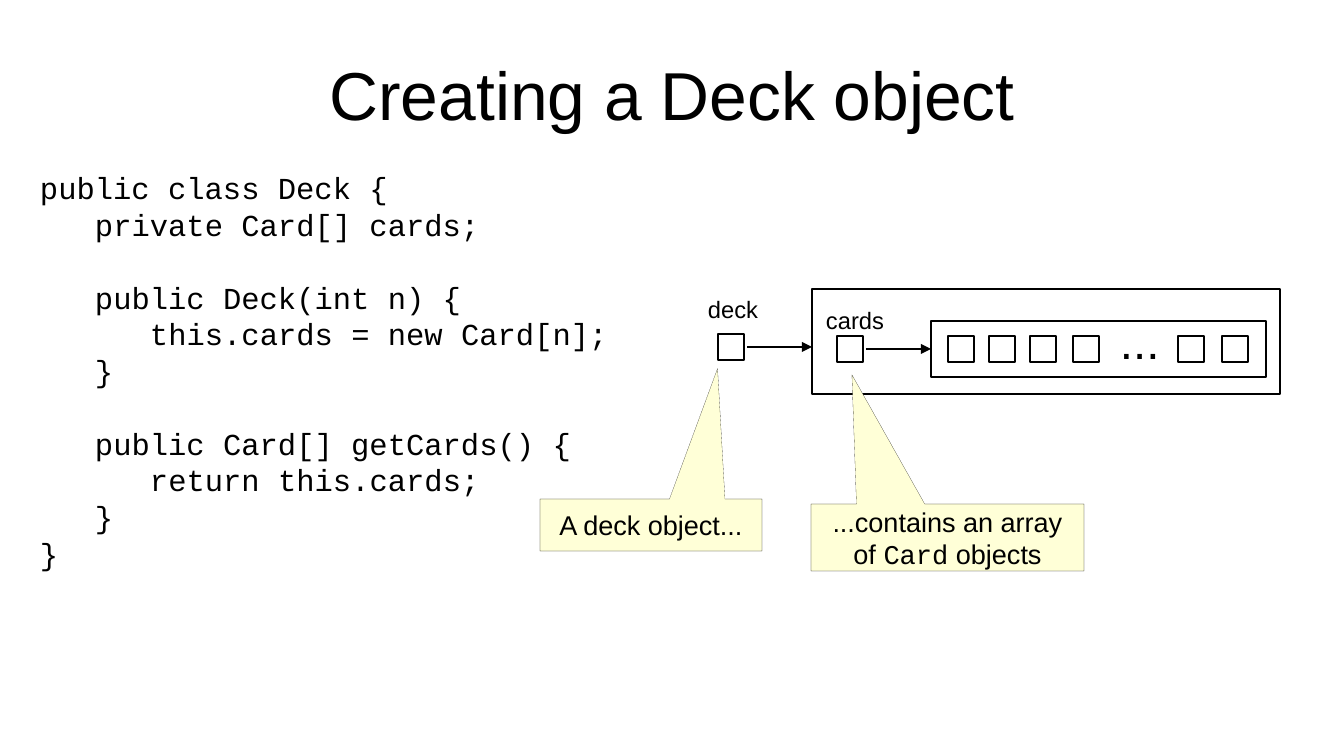
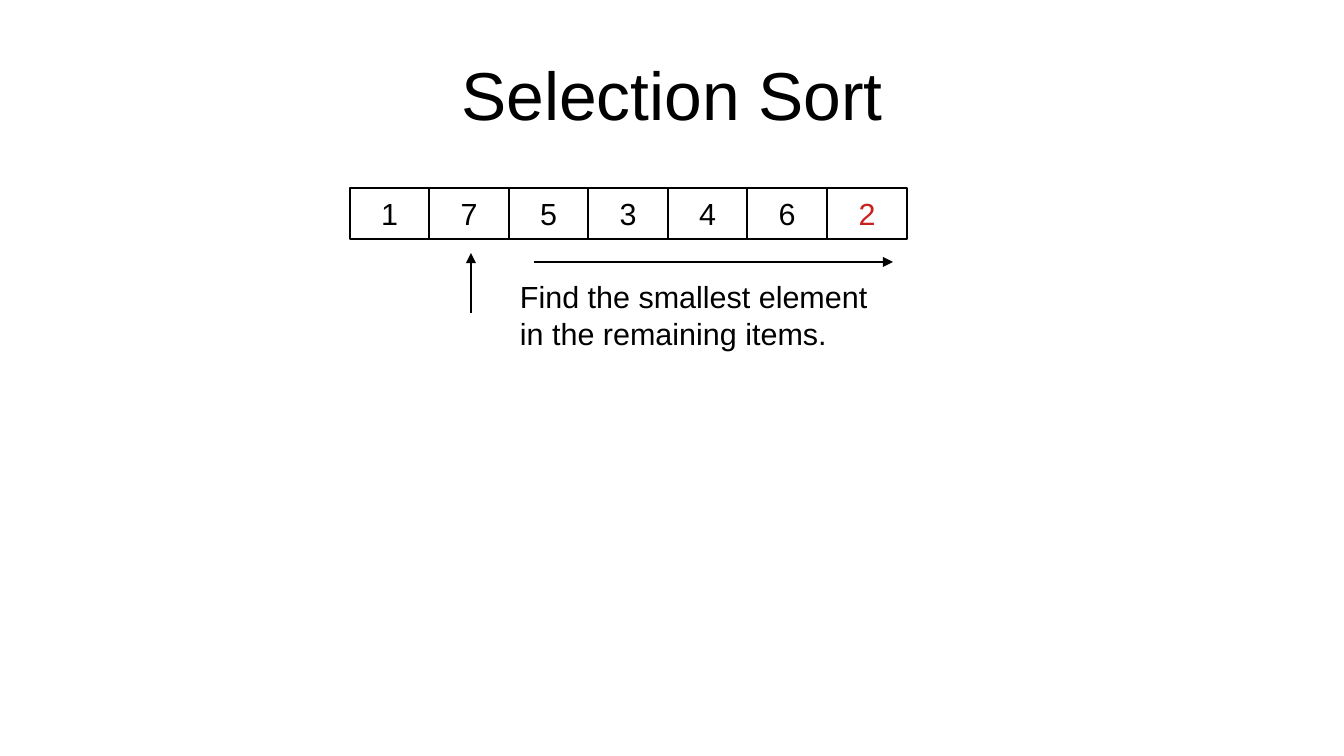
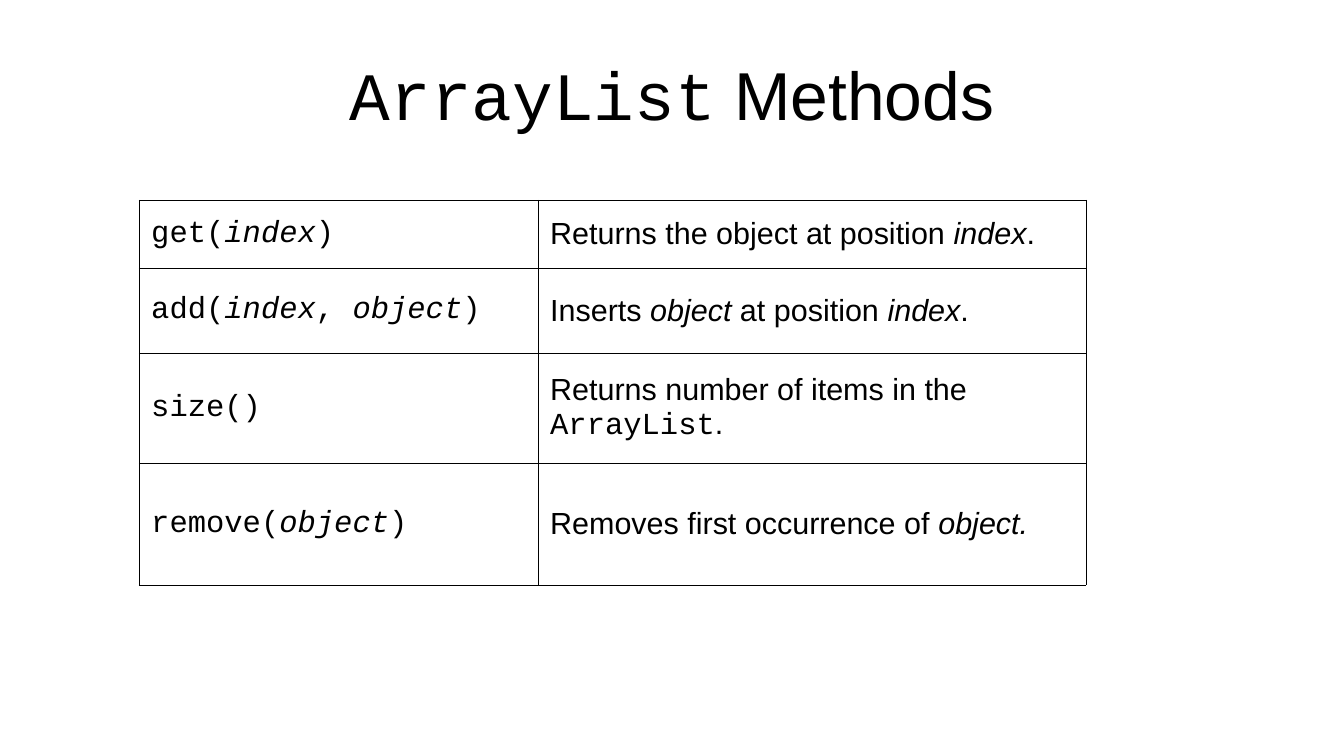
from collections import namedtuple

from lxml import etree
from pptx import Presentation
from pptx.dml.color import RGBColor
from pptx.enum.shapes import MSO_CONNECTOR, MSO_SHAPE
from pptx.enum.text import MSO_ANCHOR, MSO_AUTO_SIZE, PP_ALIGN
from pptx.oxml.ns import qn
from pptx.util import Emu, Pt

PX = 7495
TITLE_ONLY = 5
LEFT_SIDE = 1
RECTANGLE = MSO_SHAPE.RECTANGLE
CALLOUT = MSO_SHAPE.RECTANGULAR_CALLOUT
STRAIGHT = MSO_CONNECTOR.STRAIGHT
MIDDLE = MSO_ANCHOR.MIDDLE
CENTER = PP_ALIGN.CENTER
LEFT = PP_ALIGN.LEFT
FIXED = MSO_AUTO_SIZE.NONE

BLACK = RGBColor(0x00, 0x00, 0x00)
WHITE = RGBColor(0xFF, 0xFF, 0xFF)
RED = RGBColor(0xC9, 0x21, 0x1E)
CREAM = RGBColor(0xFF, 0xFF, 0xD7)

SANS = "Arial"
MONO = "Courier New"
TITLE_SIZE = 40
ELLIPSIS_SIZE = 28
BODY_SIZE = 18
CALLOUT_SIZE = 16
LABEL_SIZE = 14
THIN = Pt(1)
HAIRLINE = Pt(0.06)
CODE_INDENT = 55
CODE_GAP = Pt(21.5)
BOX = 26

Span = namedtuple("Span", "text font italic", defaults=(SANS, False))


def px(value):
    return Emu(value * PX)


def place(*values):
    return [px(value) for value in values]


def mono(text, italic=False):
    return Span(text, MONO, italic)


def italic(text):
    return Span(text, SANS, True)


def add_runs(paragraph, spans, size, color=BLACK, align=LEFT):
    paragraph.alignment = align
    for span in spans:
        run = paragraph.add_run()
        run.text = span.text
        run.font.name = span.font
        run.font.size = Pt(size)
        run.font.italic = span.italic
        run.font.color.rgb = color


def fill_frame(frame, lines, size, color=BLACK, align=LEFT):
    for index, spans in enumerate(lines):
        paragraph = frame.add_paragraph() if index else frame.paragraphs[0]
        add_runs(paragraph, spans, size, color, align)


def add_titled_slide(presentation, spans):
    slide = presentation.slides.add_slide(presentation.slide_layouts[TITLE_ONLY])
    title = slide.shapes.title
    title.left, title.top, title.width, title.height = place(67, 30, 1210, 127)
    frame = title.text_frame
    frame.margin_left = frame.margin_right = 0
    frame.margin_top = frame.margin_bottom = 0
    frame.vertical_anchor = MIDDLE
    frame.auto_size = FIXED
    fill_frame(frame, [spans], TITLE_SIZE, align=CENTER)
    return slide


def add_text(slide, left, top, width, height, lines, size):
    shape = slide.shapes.add_textbox(*place(left, top, width, height))
    frame = shape.text_frame
    frame.word_wrap = True
    frame.auto_size = FIXED
    fill_frame(frame, lines, size)
    return frame


def add_code(slide, left, top, width, height, lines):
    spans = [[mono(text)] for _, text, _ in lines]
    frame = add_text(slide, left, top, width, height, spans, BODY_SIZE)
    for paragraph, (level, _, gap_before) in zip(frame.paragraphs, lines):
        properties = paragraph._p.get_or_add_pPr()
        properties.set("marL", str(px(level * CODE_INDENT)))
        properties.set("indent", "0")
        if gap_before:
            paragraph.space_before = CODE_GAP


def add_box(slide, left, top, width, height, fill=WHITE, kind=RECTANGLE,
            line_width=THIN):
    shape = slide.shapes.add_shape(kind, *place(left, top, width, height))
    shape.shadow.inherit = False
    if fill is None:
        shape.fill.background()
    else:
        shape.fill.solid()
        shape.fill.fore_color.rgb = fill
    shape.line.color.rgb = BLACK
    shape.line.width = line_width
    return shape


def write_in_box(shape, lines, size, color=BLACK):
    frame = shape.text_frame
    frame.word_wrap = False
    frame.vertical_anchor = MIDDLE
    fill_frame(frame, lines, size, color, CENTER)


def add_callout(slide, left, top, width, height, tip, lines):
    shape = add_box(slide, left, top, width, height, CREAM, CALLOUT, HAIRLINE)
    shape.adjustments[0], shape.adjustments[1] = tip
    write_in_box(shape, lines, CALLOUT_SIZE)


def add_arrow(slide, start_x, start_y, end_x, end_y, target=None):
    arrow = slide.shapes.add_connector(
        STRAIGHT, *place(start_x, start_y, end_x, end_y))
    arrow.line.color.rgb = BLACK
    arrow.line.width = THIN
    line = arrow.line._get_or_add_ln()
    etree.SubElement(line, qn("a:tailEnd"), type="triangle")
    etree.SubElement(arrow._element.spPr, qn("a:effectLst"))
    if target is not None:
        arrow.end_connect(target, LEFT_SIDE)


def add_cell_borders(cell):
    properties = cell._tc.get_or_add_tcPr()
    for side in ("a:lnL", "a:lnR", "a:lnT", "a:lnB"):
        line = etree.SubElement(properties, qn(side), w=str(HAIRLINE))
        fill = etree.SubElement(line, qn("a:solidFill"))
        etree.SubElement(fill, qn("a:srgbClr"), val=str(BLACK))


def add_grid(slide, left, top, widths, heights, rows):
    frame = slide.shapes.add_table(
        len(heights), len(widths),
        *place(left, top, sum(widths), sum(heights)))
    table = frame.table
    table.first_row = False
    table.horz_banding = False
    for column, width in zip(table.columns, widths):
        column.width = px(width)
    for row, height, contents in zip(table.rows, heights, rows):
        row.height = px(height)
        for cell, spans in zip(row.cells, contents):
            add_cell_borders(cell)
            cell.fill.solid()
            cell.fill.fore_color.rgb = WHITE
            cell.vertical_anchor = MIDDLE
            fill_frame(cell.text_frame, [spans], BODY_SIZE)


def build_deck_slide(presentation):
    slide = add_titled_slide(presentation, [Span("Creating a Deck object")])
    add_code(slide, 28, 163, 610, 427, [
        (0, "public class Deck {", False),
        (1, "private Card[] cards;", False),
        (1, "public Deck(int n) {", True),
        (2, "this.cards = new Card[n];", False),
        (1, "}", False),
        (1, "public Card[] getCards() {", True),
        (2, "return this.cards;", False),
        (1, "}", False),
        (0, "}", False),
    ])

    array = add_box(slide, 931, 321, 335, 56)
    for left in (948, 989, 1030, 1073, 1178, 1222):
        add_box(slide, left, 336, BOX, BOX)
    add_text(slide, 1108, 306, 80, 65, [[Span("...")]], ELLIPSIS_SIZE)

    add_box(slide, 718, 334, BOX, BOX)
    add_arrow(slide, 747, 347, 812, 347)
    add_box(slide, 812, 289, 468, 105, fill=None)
    add_text(slide, 696, 289, 100, 39, [[Span("deck")]], LABEL_SIZE)

    add_box(slide, 837, 336, BOX, BOX)
    add_arrow(slide, 866, 349, 931, 349, target=array)
    add_text(slide, 814, 300, 110, 39, [[Span("cards")]], LABEL_SIZE)

    add_callout(slide, 540, 499, 222, 52, (0.3, -3.01),
                [[Span("A deck object...")]])
    add_callout(slide, 811, 504, 273, 67, (-0.35, -2.43), [
        [Span("...contains an array")],
        [Span("of "), mono("Card"), Span(" objects")],
    ])


def build_sort_slide(presentation):
    slide = add_titled_slide(presentation, [Span("Selection Sort")])
    numbers = "1753462"
    array_left, array_width = 350, 557
    edges = [array_left + array_width * index // len(numbers)
             for index in range(len(numbers) + 1)]
    smallest = min(numbers[1:])
    for number, left, right in zip(numbers, edges, edges[1:]):
        shape = add_box(slide, left, 188, right - left, 51)
        color = RED if number == smallest else BLACK
        write_in_box(shape, [[Span(number)]], BODY_SIZE, color)
    add_arrow(slide, 471, 313, 471, 253)
    add_text(slide, 508, 272, 400, 81, [
        [Span("Find the smallest element")],
        [Span("in the remaining items.")],
    ], BODY_SIZE)
    add_arrow(slide, 534, 262, 893, 262)


def build_methods_slide(presentation):
    slide = add_titled_slide(presentation, [mono("ArrayList"), Span(" Methods")])
    add_grid(slide, 139, 200, (399, 548), (68, 85, 110, 122), [
        ([mono("get("), mono("index", True), mono(")")],
         [Span("Returns the object at position "), italic("index"), Span(".")]),
        ([mono("add("), mono("index", True), mono(", "),
          mono("object", True), mono(")")],
         [Span("Inserts "), italic("object"), Span(" at position "),
          italic("index"), Span(".")]),
        ([mono("size()")],
         [Span("Returns number of items in the "), mono("ArrayList"),
          Span(".")]),
        ([mono("remove("), mono("object", True), mono(")")],
         [Span("Removes first occurrence of "), italic("object.")]),
    ])


def main():
    presentation = Presentation()
    presentation.slide_width, presentation.slide_height = place(1344, 756)
    build_deck_slide(presentation)
    build_sort_slide(presentation)
    build_methods_slide(presentation)
    presentation.save("out.pptx")


if __name__ == "__main__":
    main()
